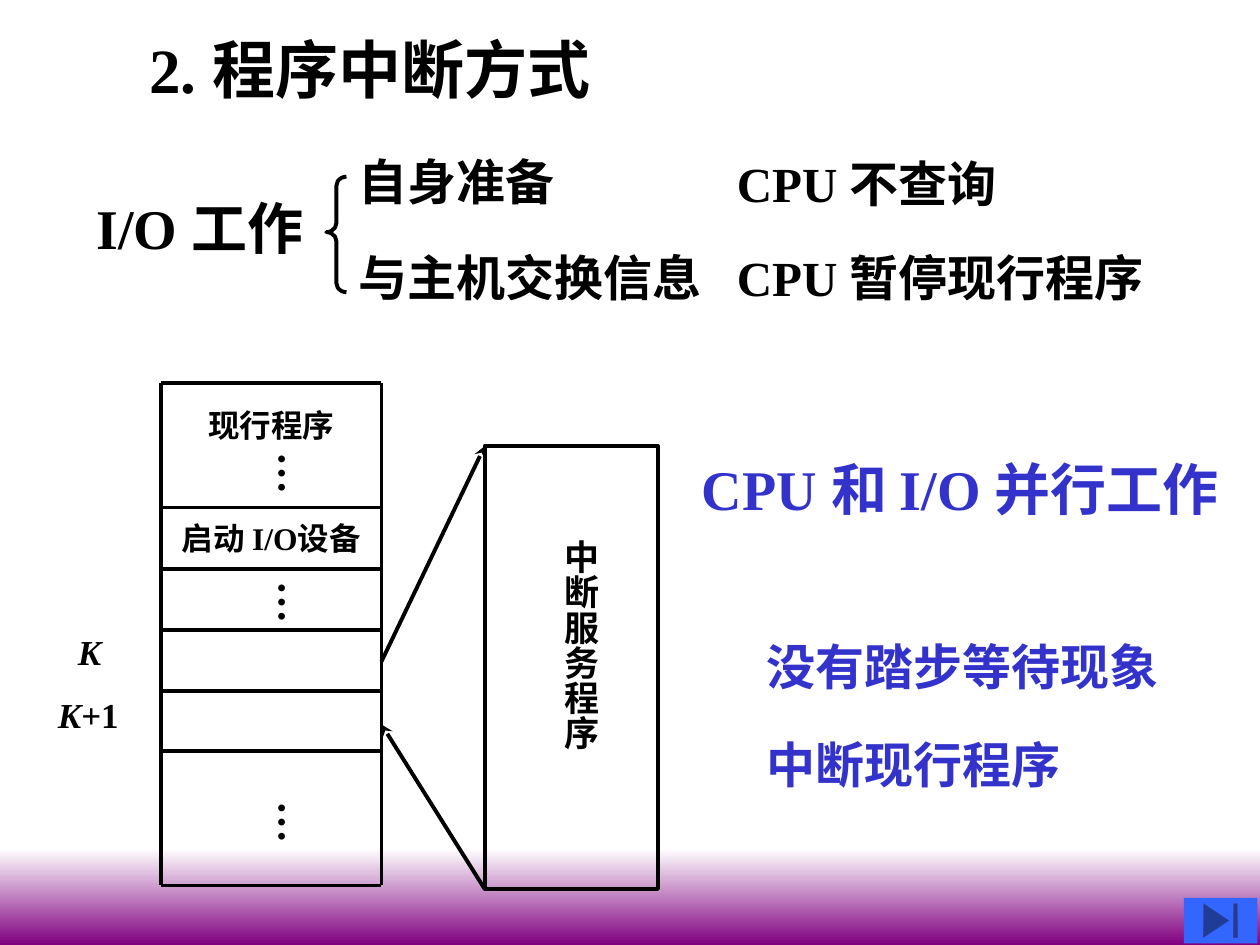
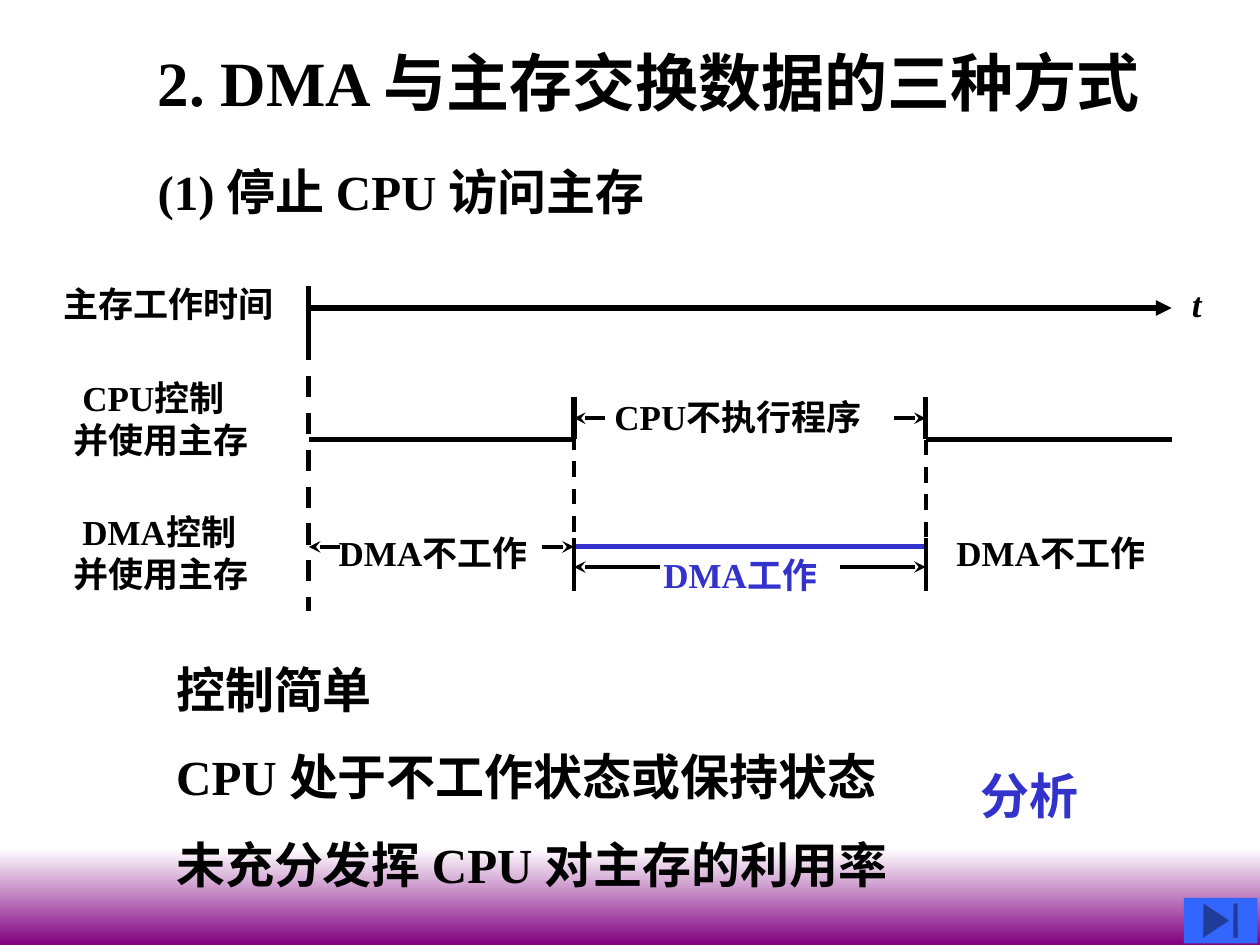
from lxml import etree
from pptx import Presentation
from pptx.dml.color import RGBColor
from pptx.enum.dml import MSO_LINE
from pptx.enum.shapes import MSO_CONNECTOR, MSO_SHAPE
from pptx.enum.text import MSO_ANCHOR, MSO_AUTO_SIZE, PP_ALIGN
from pptx.oxml.ns import qn
from pptx.util import Pt

# Shared style
FONT = "Times New Roman"
BLACK, BLUE, WHITE, PURPLE, BUTTON_BLUE = "000000", "3333CC", "FFFFFF", "800080", "3366FF"
TITLE_SIZE, LARGE, MEDIUM, SMALL, CELL_SIZE = 36, 32, 28, 20, 18
THICK, THIN = 3, 2.25
LINE_HEIGHT = 1.2

# Slide 1: text, left, top, width, size, colour
INTERRUPT_TITLE = ("2. 程序中断方式", 78, 14, 290)
INTERRUPT_TEXTS = [
    ("I/O 工作", 48, 107, 162, LARGE, BLACK),
    ("CPU 不查询", 414, 84, 211, MEDIUM, BLACK),
    ("CPU 暂停现行程序", 414, 138, 301, MEDIUM, BLACK),
    ("自身准备", 198, 83, 151, MEDIUM, BLACK),
    ("与主机交换信息", 198, 138, 216, MEDIUM, BLACK),
    ("CPU 和 I/O 并行工作", 394, 256, 330, LARGE, BLUE),
]
STEP_LABELS = [
    ([("K", True)], 37.5, 356.5, 30, SMALL, BLACK),
    ([("K", True), ("+1", False)], 26, 392.5, 52, SMALL, BLACK),
]
INTERRUPT_RESULTS = (["没有踏步等待现象", "中断现行程序"], 431, 360, 250, 56, BLUE)
PROGRAM_LEFT, PROGRAM_RIGHT = 92, 218
PROGRAM_ROWS = [219, 290, 325, 360, 395, 429, 506]
PROGRAM_CELLS = [("现行程序", 225, 35), ("启动 I/O设备", 290, 35)]
DOT_TOPS = [251.5, 325, 451]
SERVICE_BOX = (277, 255, 99, 253)
CALL_Y, RETURN_Y = 378, 414

# Slide 2
DMA_TITLE = ("2. DMA 与主存交换数据的三种方式", 83, 21.5, 625)
START, STOP, RESUME, END = 176.5, 328, 529, 669.5
AXIS_Y, CPU_HIGH, CPU_Y, DMA_Y, WORK_Y = 176, 227, 251, 312.5, 324
DMA_TEXTS = [
    ("(1) 停止 CPU 访问主存", 83, 89, 409, MEDIUM, BLACK),
    ("主存工作时间", 29, 158, 137, SMALL, BLACK),
    ([("t", True)], 674, 158, 27, SMALL, BLACK),
    ("CPU不执行程序", 344, 222.5, 163, SMALL, BLACK),
    ("DMA不工作", 186.5, 300, 127, SMALL, BLACK),
    ("DMA不工作", 539.5, 300, 127, SMALL, BLACK),
    ("DMA工作", 372, 312.5, 107, SMALL, BLUE),
    ("分析", 553, 434, 125, MEDIUM, BLUE),
]
ROW_LABELS = [("CPU控制", 211.5), ("DMA控制", 288)]
ROW_LABEL_END = "并使用主存"
DMA_POINTS = (["控制简单", "CPU 处于不工作状态或保持状态", "未充分发挥 CPU 对主存的利用率"],
              93.5, 373, 463, 50, BLACK)
# x1, y1, x2, y2, then line options
TIMELINE = [
    (START, 163.5, START, 194, {"width": THICK}),
    (START, AXIS_Y, END, AXIS_Y, {"width": THICK, "arrow": "triangle"}),
    (START, 194, START, 349, {"width": THICK, "dashed": True}),
    (START, CPU_Y, STOP, CPU_Y, {"width": THICK}),
    (RESUME, CPU_Y, END, CPU_Y, {"width": THICK}),
    (STOP, 248, STOP, 313, {"dashed": True}),
    (RESUME, 235.5, RESUME, 313, {"dashed": True}),
    (STOP, DMA_Y, RESUME, DMA_Y, {"width": THICK, "color": BLUE}),
]
# y, left limit, right limit, arrow length
SPANS = [
    (239, STOP, RESUME, 18),
    (DMA_Y, START, STOP, 18),
    (WORK_Y, STOP, RESUME, 49),
]


def rgb(color):
    return RGBColor.from_string(color)


def points(*lengths):
    return [Pt(length) for length in lengths]


def write(frame, paragraphs, size, color, gap=0, align=PP_ALIGN.LEFT):
    """Each paragraph is a string or a list of (text, italic) runs."""
    for index, content in enumerate(paragraphs):
        paragraph = frame.paragraphs[0] if index == 0 else frame.add_paragraph()
        runs = [(content, False)] if isinstance(content, str) else content
        for text, italic in runs:
            run = paragraph.add_run()
            run.text = text
            if italic:
                run.font.italic = True
        paragraph.alignment = align
        paragraph.space_before = Pt(gap if index else 0)
        font = paragraph.font
        font.name, font.size, font.bold = FONT, Pt(size), True
        font.color.rgb = rgb(color)


def place(shape, left, top, width, height):
    shape.left, shape.top, shape.width, shape.height = points(left, top, width, height)


def add_text(slide, content, left, top, width, size, color):
    paragraphs = content if isinstance(content, tuple) else [content]
    height = size * LINE_HEIGHT * len(paragraphs) + 7.2
    box = slide.shapes.add_textbox(*points(left, top, width, height))
    box.text_frame.word_wrap = True
    box.text_frame.margin_right = 0
    write(box.text_frame, paragraphs, size, color)
    return box


def add_cell_text(slide, text, top, height):
    box = slide.shapes.add_textbox(
        *points(PROGRAM_LEFT, top, PROGRAM_RIGHT - PROGRAM_LEFT, height))
    frame = box.text_frame
    frame.word_wrap = True
    frame.margin_left = frame.margin_right = frame.margin_top = frame.margin_bottom = 0
    frame.vertical_anchor = MSO_ANCHOR.MIDDLE
    write(frame, [text], CELL_SIZE, BLACK, align=PP_ALIGN.CENTER)


def add_vertical_text(slide, text, left, top, width, height, size):
    box = slide.shapes.add_textbox(*points(left, top, width, height))
    frame = box.text_frame
    frame.word_wrap = False
    frame.auto_size = MSO_AUTO_SIZE.SHAPE_TO_FIT_TEXT
    frame.margin_left = frame.margin_right = Pt(3.6)
    frame.margin_top = frame.margin_bottom = Pt(7.2)
    frame._txBody.bodyPr.set("vert", "eaVert")
    write(frame, [text], size, BLACK)


def add_line(slide, x1, y1, x2, y2, width=THIN, color=BLACK, dashed=False, arrow=None):
    connector = slide.shapes.add_connector(MSO_CONNECTOR.STRAIGHT, *points(x1, y1, x2, y2))
    connector.line.width = Pt(width)
    connector.line.color.rgb = rgb(color)
    if dashed:
        connector.line.dash_style = MSO_LINE.DASH
    if arrow:
        etree.SubElement(connector.line._get_or_add_ln(), qn("a:tailEnd"), type=arrow)
    etree.SubElement(connector._element.spPr, qn("a:effectLst"))


def add_outline(slide, preset, left, top, width, height):
    shape = slide.shapes.add_shape(preset, *points(left, top, width, height))
    shape.shadow.inherit = False
    shape.fill.background()
    shape.line.color.rgb = rgb(BLACK)
    shape.line.width = Pt(THIN)
    return shape


def add_list(slide, paragraphs, left, top, width, pitch, color):
    body = slide.placeholders[1]
    place(body, left, top, width, pitch * len(paragraphs))
    frame = body.text_frame
    frame.auto_size = MSO_AUTO_SIZE.NONE
    for index in range(len(paragraphs)):
        paragraph = frame.paragraphs[0] if index == 0 else None
    write(frame, paragraphs, MEDIUM, color, gap=pitch - MEDIUM * LINE_HEIGHT)
    for paragraph in frame.paragraphs:
        properties = paragraph._p.get_or_add_pPr()
        properties.set("marL", "0")
        properties.set("indent", "0")
        bullet = etree.Element(qn("a:buNone"))
        properties.find(qn("a:spcBef")).addnext(bullet)


def add_master_band(presentation, slide):
    """Draw the bottom band and move it to the slide master."""
    band = slide.shapes.add_shape(MSO_SHAPE.RECTANGLE, *points(0, 485, 720, 55))
    band.shadow.inherit = False
    band.line.fill.background()
    band.fill.gradient()
    band.fill.gradient_angle = 270
    for stop, color in zip(band.fill.gradient_stops, (WHITE, PURPLE)):
        stop.color.rgb = rgb(color)
    band._element.nvSpPr.cNvPr.set("id", "99")
    presentation.slide_master.shapes._spTree.insert(2, band._element)


def add_slide(presentation, title):
    slide = presentation.slides.add_slide(presentation.slide_layouts[1])
    text, left, top, width = title
    place(slide.shapes.title, left, top, width, 50)
    frame = slide.shapes.title.text_frame
    frame.vertical_anchor = MSO_ANCHOR.TOP
    frame.auto_size = MSO_AUTO_SIZE.NONE
    write(frame, [text], TITLE_SIZE, BLACK)
    # Navigation button
    button = slide.shapes.add_shape(MSO_SHAPE.ACTION_BUTTON_END, *points(676.5, 513, 42, 26))
    button.shadow.inherit = False
    button.fill.solid()
    button.fill.fore_color.rgb = rgb(BUTTON_BLUE)
    button.line.fill.background()
    return slide


def build_interrupt_slide(presentation):
    slide = add_slide(presentation, INTERRUPT_TITLE)
    add_master_band(presentation, slide)
    for item in INTERRUPT_TEXTS + STEP_LABELS:
        add_text(slide, *item)
    brace = add_outline(slide, MSO_SHAPE.LEFT_BRACE, 186.5, 101, 11.5, 66)
    brace.adjustments[0], brace.adjustments[1] = 0.45, 0.48
    add_list(slide, *INTERRUPT_RESULTS)

    # Current program
    for row in PROGRAM_ROWS:
        add_line(slide, PROGRAM_LEFT, row, PROGRAM_RIGHT, row)
    for side in (PROGRAM_LEFT, PROGRAM_RIGHT):
        add_line(slide, side, PROGRAM_ROWS[0], side, PROGRAM_ROWS[-1])
    for cell in PROGRAM_CELLS:
        add_cell_text(slide, *cell)
    for top in DOT_TOPS:
        add_vertical_text(slide, "…", 144, top, 43, 32, 24)

    # Service program, call and return
    left, top, _, height = SERVICE_BOX
    add_outline(slide, MSO_SHAPE.RECTANGLE, *SERVICE_BOX)
    add_vertical_text(slide, "中断服务程序", 309.5, 301.5, 38, 127.5, SMALL)
    add_line(slide, PROGRAM_RIGHT, CALL_Y, left, top, arrow="stealth")
    add_line(slide, left, top + height, PROGRAM_RIGHT, RETURN_Y, arrow="stealth")


def build_dma_slide(presentation):
    slide = add_slide(presentation, DMA_TITLE)
    add_list(slide, *DMA_POINTS)

    # Timeline
    for *ends, options in TIMELINE:
        add_line(slide, *ends, **options)
    for x in (STOP, RESUME):
        add_line(slide, x, CPU_HIGH, x, CPU_Y, width=THICK)
        add_line(slide, x, 307.5, x, 337.5)
    for y, left, right, length in SPANS:
        add_line(slide, left + length, y, left, y, arrow="stealth")
        add_line(slide, right - length, y, right, y, arrow="stealth")

    # Labels
    for item in DMA_TEXTS:
        add_text(slide, *item)
    for label, top in ROW_LABELS:
        box = add_text(slide, (label, ROW_LABEL_END), 35, top, 115, SMALL, BLACK)
        box.text_frame.paragraphs[0]._p.get_or_add_pPr().set("marL", str(Pt(5)))


def main():
    presentation = Presentation()
    presentation.slide_width, presentation.slide_height = points(720, 540)
    build_interrupt_slide(presentation)
    build_dma_slide(presentation)
    presentation.save("out.pptx")


if __name__ == "__main__":
    main()
